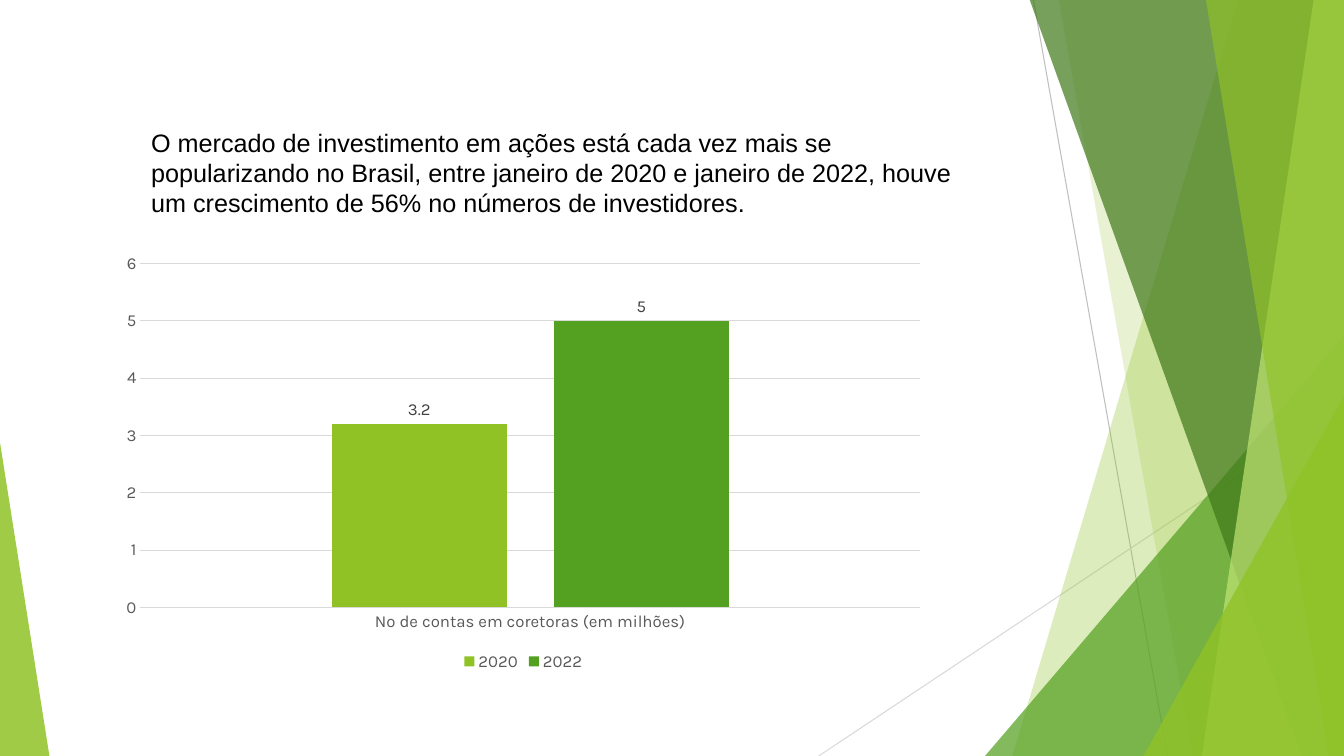
"""Build a slide on the growth of Brazilian stock investors, with a column chart."""
from lxml import etree
from pptx import Presentation
from pptx.chart.data import CategoryChartData
from pptx.dml.color import RGBColor
from pptx.enum import chart as charts, shapes, text
from pptx.oxml.ns import qn
from pptx.util import Inches, Pt

LIME = RGBColor(0x90, 0xC2, 0x26)
GREEN = RGBColor(0x54, 0xA0, 0x21)
FOREST = RGBColor(0x3F, 0x78, 0x19)
PALE = RGBColor(0xC0, 0xE4, 0x74)
SILVER = RGBColor(0xBF, 0xBF, 0xBF)
LIGHT = RGBColor(0xD9, 0xD9, 0xD9)
GREY = RGBColor(0x59, 0x59, 0x59)
DARK = RGBColor(0x40, 0x40, 0x40)
BLACK = RGBColor(0, 0, 0)
WIDTH, HEIGHT, TOP = 13.33, 7.5, -0.01


def paint(shape, colour, opacity):
    shape.shadow.inherit = False
    shape.line.fill.background()
    shape.fill.solid()
    shape.fill.fore_color.rgb = colour
    tint = shape.fill._xPr.find(".//" + qn("a:srgbClr"))
    etree.SubElement(tint, qn("a:alpha"), val=str(opacity * 1000))


def style(font, **values):
    colour = values.pop("colour")
    for name, value in values.items():
        setattr(font, name, value)
    font.color.rgb = colour


deck = Presentation()
deck.slide_width, deck.slide_height = Inches(WIDTH), Inches(HEIGHT)
page = deck.slides.add_slide(deck.slide_layouts[6])

for x1, y1, x2, y2, colour in [
    (10.25, 0, 11.58, HEIGHT, SILVER),
    (WIDTH, 4.03, 8.12, HEIGHT, LIGHT),
]:
    line = page.shapes.add_connector(
        shapes.MSO_CONNECTOR.STRAIGHT, Inches(x1), Inches(y1), Inches(x2), Inches(y2))
    line.line.color.rgb = colour
    line.line.width = Pt(0.75)
    etree.SubElement(line._element.spPr, qn("a:effectLst"))

facets = [
    ("panel", (12.28, 10.04), LIME, 30),
    ("panel", (10.5, 11.83), LIME, 20),
    ("triangle", (9.77, 3.33, 3.56, 1), GREEN, 72),
    ("panel", (10.21, 12.91), FOREST, 70),
    ("panel", (13.03, 11.92), PALE, 70),
    ("panel", (11.96, 13.18), LIME, 65),
    ("triangle", (11.34, 3.93, 1.99, 1), LIME, 80),
    ("triangle", (0, 4.39, 0.49, 0), LIME, 85),
]
for kind, place, colour, opacity in facets:
    if kind == "panel":
        upper, lower = place
        corners = [(WIDTH, TOP), (WIDTH, HEIGHT), (lower, HEIGHT)]
        outline = page.shapes.build_freeform(Inches(upper), Inches(TOP))
        outline.add_line_segments([(Inches(x), Inches(y)) for x, y in corners])
        facet = outline.convert_to_shape()
    else:
        left, top, width, apex = place
        facet = page.shapes.add_shape(
            shapes.MSO_SHAPE.ISOSCELES_TRIANGLE,
            Inches(left), Inches(top), Inches(width), Inches(HEIGHT - top))
        facet.adjustments[0] = apex
    paint(facet, colour, opacity)

box = page.shapes.add_textbox(Inches(1.4), Inches(1.21), Inches(8.29), Inches(1.01))
box.text_frame.word_wrap = True
box.text_frame.auto_size = text.MSO_AUTO_SIZE.SHAPE_TO_FIT_TEXT
span = box.text_frame.paragraphs[0].add_run()
span.text = (
    "O mercado de investimento em ações está cada vez mais se popularizando no Brasil, "
    "entre janeiro de 2020 e janeiro de 2022, houve um crescimento de 56% "
    "no números de investidores.")
style(span.font, name="Arial", size=Pt(18), colour=BLACK)

accounts = CategoryChartData()
accounts.categories = ["Nº de contas em coretoras (em milhões)"]
accounts.add_series("2020", [3.2])
accounts.add_series("2022", [5])
chart = page.shapes.add_chart(
    charts.XL_CHART_TYPE.COLUMN_CLUSTERED,
    Inches(1.09), Inches(2.43), Inches(8.2), Inches(4.27), accounts).chart
label_format = {"name": "Karla", "size": Pt(12)}
style(chart.font, colour=GREY, **label_format)
chart.has_title = False
chart.has_legend = True
chart.legend.position = charts.XL_LEGEND_POSITION.BOTTOM
chart.legend.include_in_layout = False
style(chart.legend.font, colour=GREY, **label_format)

for axis in (chart.category_axis, chart.value_axis):
    axis.major_tick_mark = axis.minor_tick_mark = charts.XL_TICK_MARK.NONE
    style(axis.tick_labels.font, colour=GREY, **label_format)
chart.value_axis.format.line.fill.background()
chart.value_axis.has_major_gridlines = True
for rule in (chart.category_axis.format.line, chart.value_axis.major_gridlines.format.line):
    rule.color.rgb = LIGHT
    rule.width = Pt(0.75)

plot = chart.plots[0]
plot.gap_width, plot.overlap, plot.vary_by_categories = 219, -27, False
for series, colour in zip(plot.series, (LIME, GREEN)):
    series.format.fill.solid()
    series.format.fill.fore_color.rgb = colour
    labels = series.data_labels
    labels.show_value = True
    labels.position = charts.XL_LABEL_POSITION.OUTSIDE_END
    style(labels.font, colour=DARK, **label_format)

deck.save("out.pptx")
